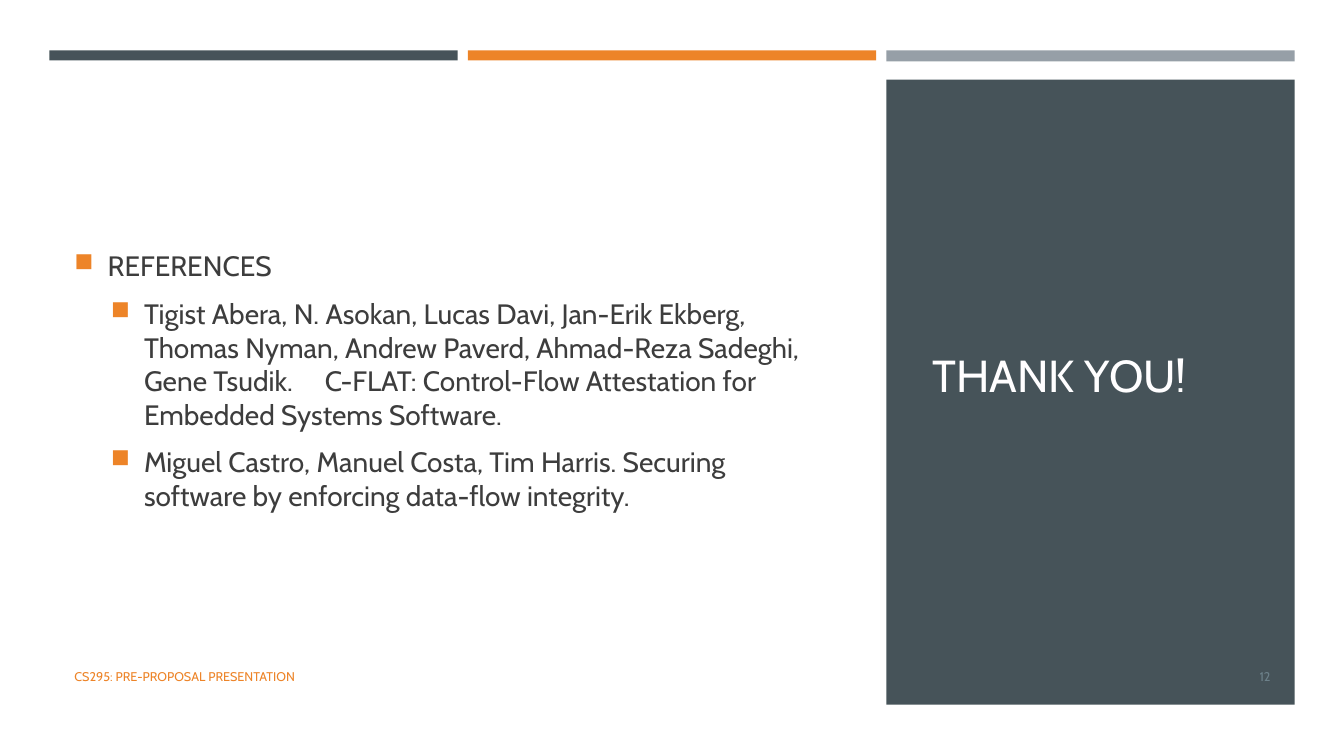
from dataclasses import dataclass

from lxml.etree import SubElement
from pptx import Presentation
from pptx.dml.color import RGBColor as RGB
from pptx.enum.shapes import MSO_SHAPE as SHAPE
from pptx.enum.text import MSO_ANCHOR as ANCHOR, PP_ALIGN as ALIGN
from pptx.oxml.ns import qn
from pptx.util import Inches, Pt


@dataclass(frozen=True)
class Theme:
    """Colours, font and type sizes of the slide."""
    font: str = "Cabin"
    paper: str = "FFFFFF"
    slate: str = "465359"
    orange: str = "ED8428"
    grey: str = "969FA7"
    ink: str = "3D3D3D"
    title: str = "FFFEFF"
    number: str = "6D818A"
    title_size: int = 32
    body_size: int = 20
    small_size: int = 9


T = Theme()
REFERENCES = [
    (0, ["REFERENCES"]),
    (1, ["Tigist Abera, N. Asokan, Lucas Davi, Jan-Erik Ekberg, Thomas Nyman, "
         "Andrew Paverd, Ahmad-Reza Sadeghi, Gene Tsudik.",
         "C-FLAT: Control-Flow Attestation for Embedded Systems Software."]),
    (1, ["Miguel Castro, Manuel Costa, Tim Harris. "
         "Securing software by enforcing data-flow integrity."]),
]


def add_rect(s, box, color):
    """Add a plain filled rectangle."""
    sp = s.shapes.add_shape(SHAPE.RECTANGLE, *map(Inches, box))
    sp.shadow.inherit = False
    sp.fill.solid()
    sp.fill.fore_color.rgb = RGB.from_string(color)
    sp.line.fill.background()


def add_frame(s, box):
    """Add a wrapping, vertically centred text box and return its frame."""
    tf = s.shapes.add_textbox(*map(Inches, box)).text_frame
    tf.word_wrap = True
    tf.vertical_anchor = ANCHOR.MIDDLE
    return tf


def style_run(r, size, color):
    """Set the font, size and colour of a run."""
    r.font.name = T.font
    r.font.size = Pt(size)
    r.font.color.rgb = RGB.from_string(color)


def add_label(s, box, text, size, color, align=ALIGN.LEFT):
    """Add a single line of text."""
    p = add_frame(s, box).paragraphs[0]
    p.text = text
    p.alignment = align
    style_run(p.runs[0], size, color)


def set_bullet(p, level):
    """Give a paragraph its level, indent and square bullet."""
    p.level = level
    pPr = p._p.get_or_add_pPr()
    pPr.set("marL", str(Inches(0.33 + 0.36 * level)))
    pPr.set("indent", str(Inches(-0.33)))
    color = SubElement(pPr, qn("a:buClr"))
    SubElement(color, qn("a:srgbClr")).set("val", T.orange)
    SubElement(pPr, qn("a:buSzPct")).set("val", "92000")
    SubElement(pPr, qn("a:buChar")).set("char", "■")


def add_references(s, box):
    """Add the bulleted list, with a widened space between parts of an entry."""
    tf = add_frame(s, box)
    for i, (level, parts) in enumerate(REFERENCES):
        p = tf.add_paragraph() if i else tf.paragraphs[0]
        p.text = parts[0]
        p.space_before, p.space_after = Pt(4), Pt(6)
        set_bullet(p, level)
        for part in parts[1:]:
            gap = p.add_run()
            gap.text = " "
            gap.font._element.set("spc", "1840")
            p.add_run().text = part
        for r in p.runs:
            style_run(r, T.body_size, T.ink)


def add_bars(s, x, y, width):
    """Add three equal colour bars across the given width."""
    gap = 0.1
    w = (width - 2 * gap) / 3
    for i, (color, h) in enumerate([(T.slate, 0.1), (T.orange, 0.1), (T.grey, 0.11)]):
        add_rect(s, (x + i * (w + gap), y, w, h), color)


def add_title_panel(s, x, y, w, h):
    """Add the dark panel with the title and the slide number."""
    add_rect(s, (x, y, w, h), T.slate)
    add_label(s, (x + 0.36, y + 0.35, w - 0.71, h - 1.05), "THANK YOU!",
              T.title_size, T.title)
    add_label(s, (x + w - 1.29, y + h - 0.48, 1.15, 0.4), "12",
              T.small_size, T.number, ALIGN.RIGHT)


def main():
    """Build and save the slide."""
    prs = Presentation()
    prs.slide_width, prs.slide_height = Inches(13.33), Inches(7.5)
    s = prs.slides.add_slide(prs.slide_layouts[6])
    add_rect(s, (0, 0, 13.33, 7.5), T.paper)
    add_bars(s, 0.49, 0.5, 12.35)
    add_references(s, (0.64, 1.14, 7.67, 5.27))
    add_label(s, (0.64, 6.51, 7.56, 0.4), "CS295: PRE-PROPOSAL PRESENTATION",
              T.small_size, T.orange)
    add_title_panel(s, 8.79, 0.79, 4.05, 6.2)
    prs.save("out.pptx")


if __name__ == "__main__":
    main()
